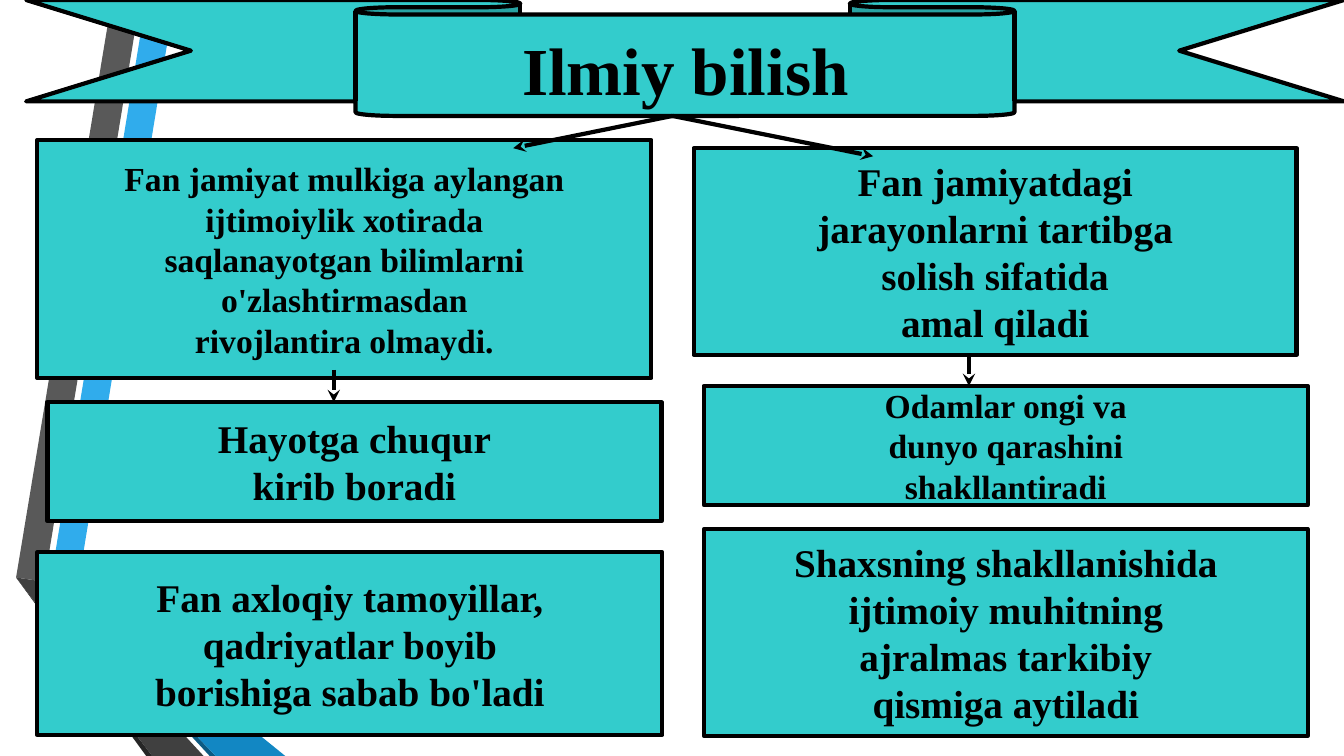
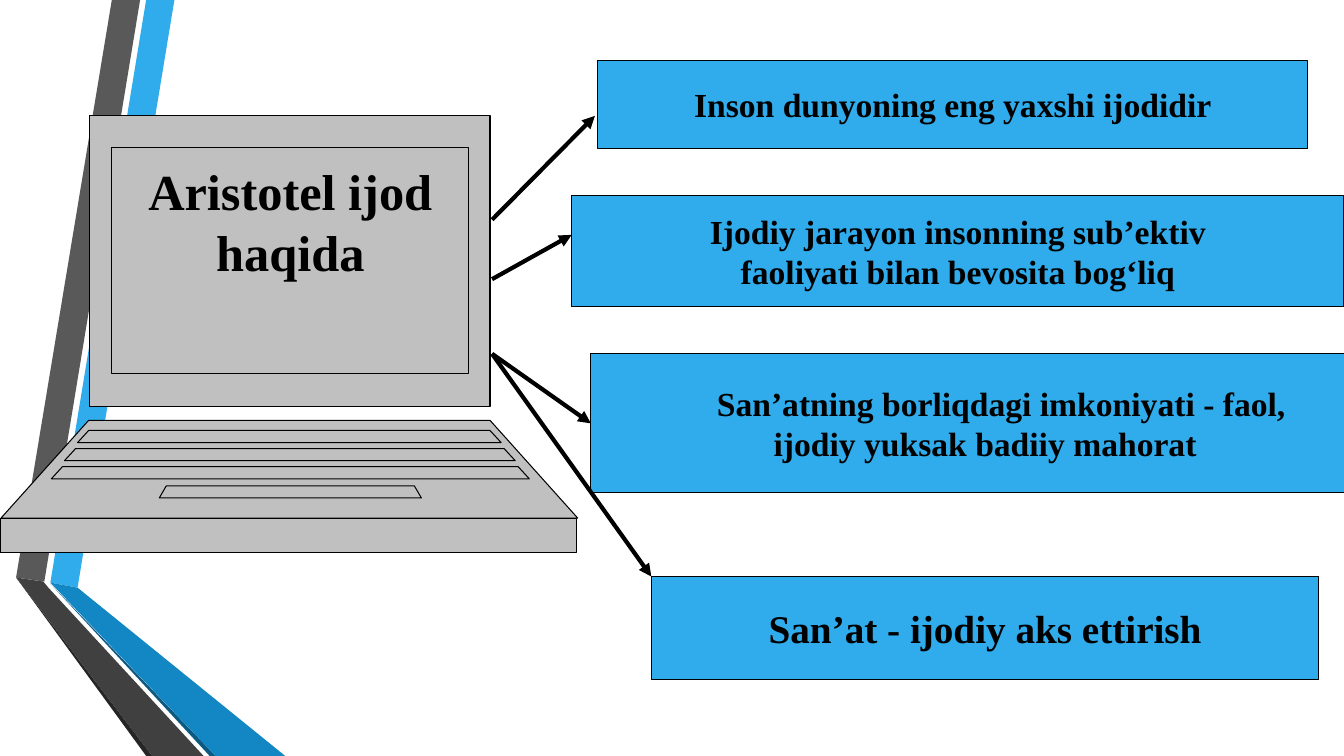
from dataclasses import dataclass
from typing import Optional

import pptx
import pptx.dml.color
import pptx.enum.dml
import pptx.enum.shapes
import pptx.enum.text
import pptx.oxml.ns
import pptx.shapes.autoshape
import pptx.slide
import pptx.text.text
import pptx.util
from lxml import etree

RGB = pptx.dml.color.RGBColor
ANCHOR = pptx.enum.text.MSO_ANCHOR
SHAPE = pptx.enum.shapes.MSO_SHAPE
qn = pptx.oxml.ns.qn

PX = 9144  # EMU: one hundred px to the inch
SLIDE_SIZE = (1333, 750)
FONT = "Times New Roman"
LINE_PITCH = 1.2
THICK, THIN = 3, 0.75

BLACK = RGB(0x00, 0x00, 0x00)
TEAL = RGB(0x33, 0xCC, 0xCC)
SKY = RGB(0x30, 0xAC, 0xEC)
SKY_SHADE = RGB(0x12, 0x87, 0xC3)
SKY_DEEP = RGB(0x0C, 0x5A, 0x82)
SLATE = RGB(0x59, 0x59, 0x59)
SLATE_SHADE = RGB(0x40, 0x40, 0x40)
SLATE_DEEP = RGB(0x26, 0x26, 0x26)
SILVER = RGB(0xC0, 0xC0, 0xC0)

Point = tuple[int, int]


@dataclass(frozen=True)
class Area:
    left: int
    top: int
    width: int
    height: int

    def emu(self) -> tuple[int, int, int, int]:
        return self.left * PX, self.top * PX, self.width * PX, self.height * PX


@dataclass(frozen=True)
class Statement:
    area: Area
    lines: tuple[str, ...]
    size: int = 28
    first_indent: int = 0


@dataclass(frozen=True)
class Arrow:
    start: Point
    end: Point
    target: Optional[int] = None  # statement whose left side it joins


@dataclass(frozen=True)
class Trapezoid:
    """A part whose lower corners spread outward by slant."""
    left: int
    right: int
    top: int
    height: int
    slant: int = 0

    def points(self) -> list[Point]:
        bottom = self.top + self.height
        return [(self.left, self.top), (self.right, self.top),
                (self.right + self.slant, bottom), (self.left - self.slant, bottom)]


RIBBON_BANDS = [
    (SKY, [(50, 578), (77, 583), (173, 0), (145, 0)]),
    (SLATE, [(139, 0), (111, 0), (16, 573), (44, 577)]),
    (SLATE_DEEP, [(16, 573), (145, 750), (151, 750)]),
    (SKY_DEEP, [(50, 579), (208, 750), (214, 750)]),
    (SKY_SHADE, [(50, 578), (214, 750), (283, 750), (77, 583)]),
    (SLATE_SHADE, [(16, 573), (151, 750), (202, 750), (48, 583), (43, 577)]),
]

BANNER = Area(26, 0, 1307, 115)
BANNER_TITLE = Area(353, 18, 654, 101)

KNOWLEDGE = [
    Statement(Area(37, 139, 609, 236),
              ("Fаn jаmiyat mulkigа аylаngаn", "ijtimоiylik хоtirаdа",
               "sаqlаnаyotgаn bilimlаrni", "o'zlаshtirmаsdаn",
               "rivоjlаntirа оlmаydi."), size=24),
    Statement(Area(688, 147, 598, 205),
              ("Fаn jаmiyatdаgi", "jаrаyonlаrni tаrtibgа",
               "sоlish sifаtidа", "аmаl qilаdi")),
    Statement(Area(47, 399, 609, 118), ("Hаyotgа chuqur", "kirib bоrаdi")),
    Statement(Area(37, 548, 620, 181),
              ("Fаn ахlоqiy tаmоyillаr,", "qаdriyatlаr bоyib",
               "bоrishigа sаbаb bo'lаdi")),
    Statement(Area(698, 383, 599, 118),
              ("Оdаmlаr оngi vа", "dunyo qаrаshini", "shаkllаntirаdi"), size=24),
    Statement(Area(698, 525, 599, 205),
              ("Shахsning shаkllаnishidа", "ijtimоiy muhitning",
               "аjrаlmаs tаrkibiy", "qismigа аytilаdi")),
]
KNOWLEDGE_ARROWS = [
    Arrow((331, 367), (331, 399)),
    Arrow((961, 351), (961, 383)),
    Arrow((667, 115), (509, 147)),
    Arrow((667, 115), (866, 155)),
]

CREATIVITY = [
    Statement(Area(593, 60, 704, 87),
              ("Inson dunyoning eng yaxshi ijodidir",), size=24),
    Statement(Area(567, 194, 766, 110),
              ("Ijodiy jarayon insonning sub’ektiv",
               "faoliyati bilan bevosita bog‘liq"), size=24),
    Statement(Area(646, 572, 662, 102), ("San’at - ijodiy aks ettirish",)),
    Statement(Area(586, 351, 782, 138),
              ("San’atning borliqdagi imkoniyati - faol,",
               "ijodiy yuksak badiiy mahorat"), size=24, first_indent=32),
]
CREATIVITY_ARROWS = [
    Arrow((488, 277), (567, 233)),
    Arrow((488, 218), (590, 115)),
    Arrow((488, 351), (586, 420), target=3),
    Arrow((488, 351), (646, 572)),
]

LAPTOP = [
    Trapezoid(89, 486, 115, 288),            # lid
    Trapezoid(88, 486, 417, 97, slant=87),   # deck
    Trapezoid(0, 572, 514, 34),              # front edge
    Trapezoid(111, 465, 146, 225),           # display
    *(Trapezoid(88 - 13 * row, 486 + 14 * row, 427 + 18 * row, 12, slant=11)
      for row in range(3)),                  # key rows
    Trapezoid(165, 411, 482, 12, slant=7),   # space bar
]
LAPTOP_TITLE = Area(111, 154, 354, 150)


def paint(shape: pptx.shapes.autoshape.Shape, fill: RGB,
          line_width: float = 0) -> None:
    """Give a flat fill and a black outline, or none at zero width."""
    shape.shadow.inherit = False
    shape.fill.solid()
    shape.fill.fore_color.rgb = fill
    if line_width:
        shape.line.color.rgb = BLACK
        shape.line.width = pptx.util.Pt(line_width)
    else:
        shape.line.fill.background()


def write(frame: pptx.text.text.TextFrame, lines: tuple[str, ...], *, size: int,
          anchor: ANCHOR = ANCHOR.MIDDLE, first_indent: int = 0) -> None:
    """Fill a frame with bold centred lines, one paragraph each."""
    frame.word_wrap = True
    frame.auto_size = pptx.enum.text.MSO_AUTO_SIZE.NONE
    frame.vertical_anchor = anchor
    for index, line in enumerate(lines):
        paragraph = frame.paragraphs[0] if index == 0 else frame.add_paragraph()
        paragraph.alignment = pptx.enum.text.PP_ALIGN.CENTER
        paragraph.line_spacing = pptx.util.Pt(size * LINE_PITCH)
        paragraph.space_before = pptx.util.Pt(0)
        run = paragraph.add_run()
        run.text = line
        run.font.name = FONT
        run.font.size = pptx.util.Pt(size)
        run.font.bold = True
        run.font.color.rgb = BLACK
    if first_indent:
        properties = frame.paragraphs[0]._p.get_or_add_pPr()
        properties.set("indent", str(first_indent * PX))


def add_polygon(slide: pptx.slide.Slide, points: list[Point], fill: RGB,
                line_width: float = 0) -> pptx.shapes.autoshape.Shape:
    builder = slide.shapes.build_freeform(*points[0], scale=PX)
    builder.add_line_segments(points[1:], close=True)
    polygon = builder.convert_to_shape()
    paint(polygon, fill, line_width)
    return polygon


def add_statement(slide: pptx.slide.Slide, statement: Statement, fill: RGB,
                  line_width: float) -> pptx.shapes.autoshape.Shape:
    box = slide.shapes.add_shape(SHAPE.RECTANGLE, *statement.area.emu())
    paint(box, fill, line_width)
    write(box.text_frame, statement.lines, size=statement.size,
          first_indent=statement.first_indent)
    return box


def add_arrow(slide: pptx.slide.Slide, arrow: Arrow, head: str,
              boxes: list[pptx.shapes.autoshape.Shape]) -> None:
    ends = [value * PX for value in (*arrow.start, *arrow.end)]
    connector = slide.shapes.add_connector(
        pptx.enum.shapes.MSO_CONNECTOR.STRAIGHT, *ends)
    if arrow.target is not None:
        connector.end_connect(boxes[arrow.target], 1)
    connector.line.color.rgb = BLACK
    connector.line.width = pptx.util.Pt(THICK)
    properties = connector.element.spPr
    etree.SubElement(properties.find(qn("a:ln")), qn("a:tailEnd"), type=head)
    etree.SubElement(properties, qn("a:effectLst"))


def place_title(slide: pptx.slide.Slide, text: str, area: Area, *, size: int,
                anchor: ANCHOR = ANCHOR.MIDDLE) -> None:
    """Put the title placeholder in an area, in front of what is drawn there."""
    title = slide.shapes.title
    title.left, title.top, title.width, title.height = area.emu()
    write(title.text_frame, (text,), size=size, anchor=anchor)
    slide.shapes.element.append(title.element)


def add_master_bands(master: pptx.slide.SlideMaster,
                     slide: pptx.slide.Slide) -> None:
    """Draw the bands through a slide, then move them to the master's back."""
    for index, (fill, points) in enumerate(RIBBON_BANDS):
        band = add_polygon(slide, points, fill).element
        band.nvSpPr.cNvPr.set("id", str(100 + index))
        master.shapes.element.insert(2 + index, band)


def add_statements(slide: pptx.slide.Slide, statements: list[Statement],
                   fill: RGB, line_width: float
                   ) -> list[pptx.shapes.autoshape.Shape]:
    return [add_statement(slide, item, fill, line_width) for item in statements]


def draw_knowledge(slide: pptx.slide.Slide) -> None:
    boxes = add_statements(slide, KNOWLEDGE, TEAL, THICK)
    banner = slide.shapes.add_shape(SHAPE.DOWN_RIBBON, *BANNER.emu())
    banner.adjustments[0], banner.adjustments[1] = 0.125, 0.5
    paint(banner, TEAL, THICK)
    place_title(slide, "Ilmiy bilish", BANNER_TITLE, size=48)
    for arrow in KNOWLEDGE_ARROWS:
        add_arrow(slide, arrow, "stealth", boxes)


def draw_creativity(slide: pptx.slide.Slide) -> None:
    boxes = add_statements(slide, CREATIVITY, SKY, THIN)
    for part in LAPTOP:
        add_polygon(slide, part.points(), SILVER, THIN)
    place_title(slide, "Aristotel ijod haqida", LAPTOP_TITLE, size=36,
                anchor=ANCHOR.TOP)
    for arrow in CREATIVITY_ARROWS:
        add_arrow(slide, arrow, "triangle", boxes)


def main() -> None:
    deck = pptx.Presentation()
    deck.slide_width, deck.slide_height = (side * PX for side in SLIDE_SIZE)
    title_only = deck.slide_layouts[5]
    knowledge, creativity = (deck.slides.add_slide(title_only) for _ in range(2))
    add_master_bands(deck.slide_master, knowledge)
    draw_knowledge(knowledge)
    draw_creativity(creativity)
    deck.save("out.pptx")


if __name__ == "__main__":
    main()
